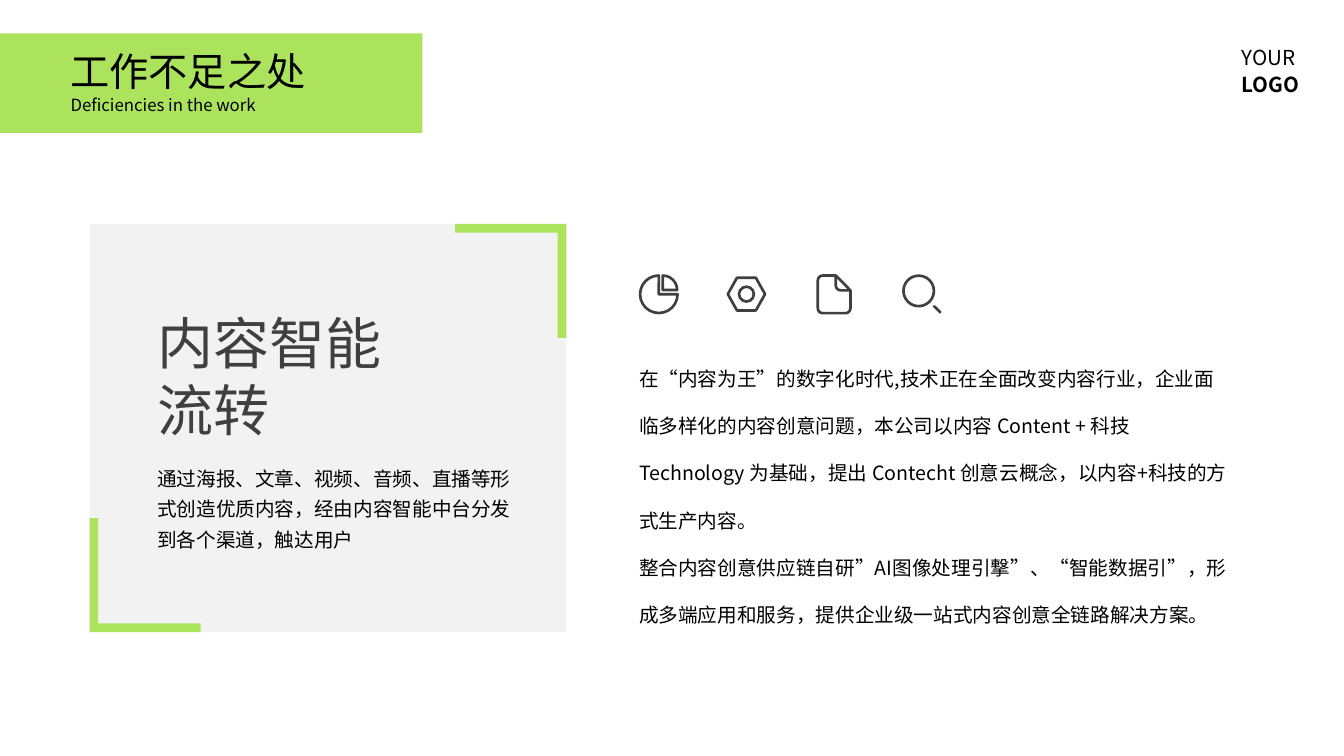
import math
from lxml import etree
from pptx import Presentation
from pptx.dml.color import RGBColor
from pptx.enum.shapes import MSO_CONNECTOR, MSO_SHAPE
from pptx.enum.text import MSO_AUTO_SIZE
from pptx.oxml.ns import qn
from pptx.util import Pt

RECT, OVAL = MSO_SHAPE.RECTANGLE, MSO_SHAPE.OVAL
PIE, HEXAGON = MSO_SHAPE.PIE, MSO_SHAPE.HEXAGON
STRAIGHT = MSO_CONNECTOR.STRAIGHT
FIT_TEXT = MSO_AUTO_SIZE.SHAPE_TO_FIT_TEXT
FONT = "Noto Sans CJK JP"
GREEN, GRAY, DARK, BLACK = "ABE35D", "F2F2F2", "3F3F3F", "000000"
STROKE = 1.9


def paint(sp, fill=None, line=None):
    sp.shadow.inherit = False
    if fill:
        sp.fill.solid()
        sp.fill.fore_color.rgb = RGBColor.from_string(fill)
    else:
        sp.fill.background()
    if line:
        sp.line.color.rgb = RGBColor.from_string(line)
        sp.line.width = Pt(STROKE)
    else:
        sp.line.fill.background()


def add_text(x, y, w, h, paragraphs, size, color=BLACK, spacing=None, bold_last=False):
    tf = s.shapes.add_textbox(Pt(x), Pt(y), Pt(w), Pt(h)).text_frame
    tf.word_wrap = True
    tf.auto_size = FIT_TEXT
    tf.margin_left = tf.margin_top = tf.margin_right = tf.margin_bottom = 0
    for i, text in enumerate(paragraphs):
        p = tf.paragraphs[0] if i == 0 else tf.add_paragraph()
        if spacing:
            p.line_spacing = spacing
        r = p.add_run()
        r.text = text
        r.font.size = Pt(size)
        r.font.name = FONT
        r.font.bold = bold_last and i == len(paragraphs) - 1
        r.font.color.rgb = RGBColor.from_string(color)
        rPr = r._r.get_or_add_rPr()
        rPr.set("lang", "zh-CN")
        etree.SubElement(rPr, qn("a:ea")).set("typeface", FONT)


prs = Presentation()
prs.slide_width, prs.slide_height = Pt(960), Pt(540)
s = prs.slides.add_slide(prs.slide_layouts[6])

# Title band and card
card_x, card_y, card_w, card_h = 64, 160, 340.5, 291.5
for x, y, w, h, color in [(0, 23.8, 301.7, 71.2, GREEN),
                          (card_x, card_y, card_w, card_h, GRAY)]:
    paint(s.shapes.add_shape(RECT, Pt(x), Pt(y), Pt(w), Pt(h)), color)

# Green brackets on two opposite card corners
arm_w, arm_h, thick = 79.3, 81.3, 6.2
for x, y, d in [(card_x + card_w, card_y, -1), (card_x, card_y + card_h, 1)]:
    bracket = [(x, y), (x + d * arm_w, y), (x + d * arm_w, y - d * thick),
               (x + d * thick, y - d * thick), (x + d * thick, y - d * arm_h),
               (x, y - d * arm_h)]
    fb = s.shapes.build_freeform(Pt(x), Pt(y), scale=1.0)
    fb.add_line_segments([(Pt(a), Pt(b)) for a, b in bracket[1:]], close=True)
    paint(fb.convert_to_shape(), GREEN)

# Icons from presets: pie chart, nut, lens
for preset, x, y, w, h, adjustments in [
        (PIE, 457.2, 196.8, 26.8, 26.8, []),
        (PIE, 463.1, 196.8, 20.6, 20.6, [162, 0]),
        (HEXAGON, 519.9, 198.4, 26.6, 23.4, [0.28]),
        (OVAL, 527.9, 204.8, 10.6, 10.6, []),
        (OVAL, 645.3, 196.9, 21.8, 21.8, [])]:
    sp = s.shapes.add_shape(preset, Pt(x), Pt(y), Pt(w), Pt(h))
    for i, value in enumerate(adjustments):
        sp.adjustments[i] = value
    paint(sp, line=DARK)

# Lens handle
handle = s.shapes.add_connector(STRAIGHT, Pt(667.3), Pt(218.8), Pt(671.6), Pt(223.1))
handle.line.color.rgb = RGBColor.from_string(DARK)
handle.line.width = Pt(STROKE)
handle.line._get_or_add_ln().set("cap", "rnd")
etree.SubElement(handle._element.spPr, qn("a:effectLst"))

# Document icon: page with three rounded corners, and its folded corner
left, right, top, bottom, radius = 584.2, 607.5, 196.8, 223.7, 3.6
fold_x, fold_y = 597, 207.4
page = [(fold_x, top), (right, fold_y)]
for cx, cy, start in [(right - radius, bottom - radius, 0),
                      (left + radius, bottom - radius, 90),
                      (left + radius, top + radius, 180)]:
    for angle in range(start, start + 91, 15):
        a = math.radians(angle)
        page.append((cx + radius * math.cos(a), cy + radius * math.sin(a)))
fold = [(fold_x, top)]
for angle in range(180, 89, -15):
    a = math.radians(angle)
    fold.append((fold_x + radius + radius * math.cos(a),
                 fold_y - radius + radius * math.sin(a)))
fold.append((right, fold_y))
for points, closed in [(page, True), (fold, False)]:
    fb = s.shapes.build_freeform(Pt(points[0][0]), Pt(points[0][1]), scale=1.0)
    fb.add_line_segments([(Pt(a), Pt(b)) for a, b in points[1:]], close=closed)
    paint(fb.convert_to_shape(), line=DARK)

# Header text and placeholder words at top right
add_text(50.4, 33.8, 193, 33.8, ["工作不足之处"], 28)
add_text(50.4, 67.7, 227.5, 14.4, ["Deficiencies in the work"], 12)
add_text(887, 30.3, 60, 38.8, ["YOUR", "LOGO"], 14.7, spacing=Pt(19.4), bold_last=True)

# Card text
add_text(112.3, 220.3, 170, 97.2, ["内容智能流转"], 40, DARK)
add_text(112.3, 328.3, 260, 64.8,
         ["通过海报、文章、视频、音频、直播等形式创造优质内容，经由内容智能中台分发到各个渠道，触达用户"],
         14, spacing=1.3)

# Body text
add_text(456.5, 245.5, 424, 165.6, [
    "在“内容为王”的数字化时代,技术正在全面改变内容行业，企业面临多样化的内容创意问题，"
    "本公司以内容 Content + 科技 Technology 为基础，提出 Contecht 创意云概念，"
    "以内容+科技的方式生产内容。",
    "整合内容创意供应链自研”AI图像处理引撃”、“智能数据引”，"
    "形成多端应用和服务，提供企业级一站式内容创意全链路解决方案。"], 14, spacing=2.0)

prs.save("out.pptx")
